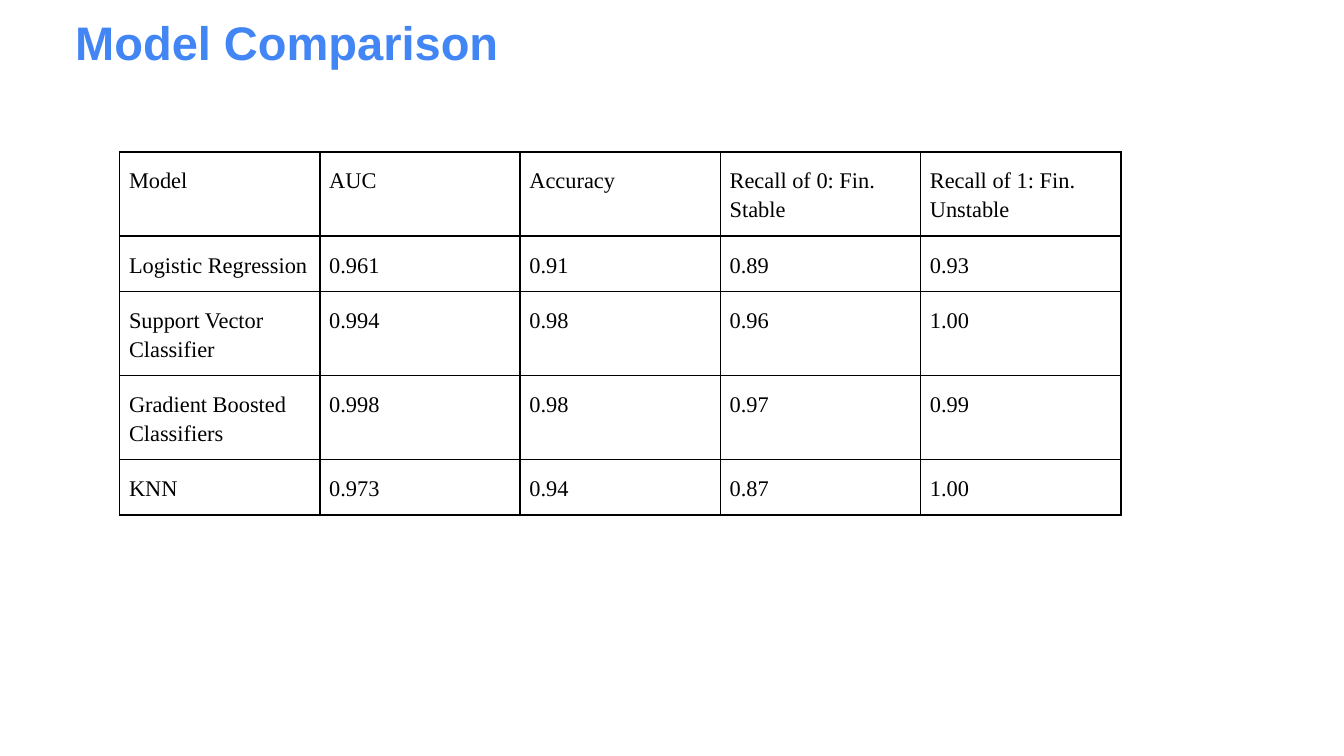
from lxml import etree
from pptx import Presentation
from pptx.dml.color import RGBColor
from pptx.enum.text import MSO_ANCHOR, PP_ALIGN
from pptx.oxml.ns import qn
from pptx.util import Inches, Pt

BOTTOM, TOP = MSO_ANCHOR.BOTTOM, MSO_ANCHOR.TOP
LEFT = PP_ALIGN.LEFT

TITLE = "Model Comparison"
RESULTS = [
    ("Model", "AUC", "Accuracy", "Recall of 0: Fin. Stable", "Recall of 1: Fin. Unstable"),
    ("Logistic Regression", "0.961", "0.91", "0.89", "0.93"),
    ("Support Vector Classifier", "0.994", "0.98", "0.96", "1.00"),
    ("Gradient Boosted Classifiers", "0.998", "0.98", "0.97", "0.99"),
    ("KNN", "0.973", "0.94", "0.87", "1.00"),
]
THEME = {
    "title": {"font": "Arial", "size": 25.2, "color": "4285F4", "bold": True},
    "cell": {"font": "Times New Roman", "size": 12, "color": "000000", "bold": False},
    "border": "000000",
    "border_pt": 1,
}
SLIDE_W = Inches(10)
SLIDE_H = SLIDE_W * 9 // 16
COL_W = 1.49
ROW_HEIGHTS = [0.62, 0.41, 0.62, 0.62, 0.41]


def style_text(p, look):
    p.alignment = LEFT
    for r in p.runs:
        r.font.name = look["font"]
        r.font.size = Pt(look["size"])
        r.font.bold = look["bold"]
        r.font.color.rgb = RGBColor.from_string(look["color"])


def add_borders(cell):
    tc_pr = cell._tc.get_or_add_tcPr()
    for i, side in enumerate(("lnL", "lnR", "lnT", "lnB")):
        ln = etree.Element(qn(f"a:{side}"), w=str(Pt(THEME["border_pt"])))
        fill = etree.SubElement(ln, qn("a:solidFill"))
        etree.SubElement(fill, qn("a:srgbClr"), val=THEME["border"])
        tc_pr.insert(i, ln)


def add_title(s):
    sp = s.shapes.title
    sp.left, sp.top = Inches(0.46), Inches(0)
    sp.width, sp.height = Inches(9.32), Inches(0.62)
    tf = sp.text_frame
    tf.text = TITLE
    tf.word_wrap = True
    tf.vertical_anchor = BOTTOM
    tf.margin_left = tf.margin_right = tf.margin_top = tf.margin_bottom = Inches(0.1)
    style_text(tf.paragraphs[0], THEME["title"])


def fill_cell(cell, text):
    cell.text = text
    cell.fill.background()
    cell.vertical_anchor = TOP
    cell.margin_left = cell.margin_right = Inches(0.07)
    cell.margin_top = cell.margin_bottom = Inches(0.1)
    p = cell.text_frame.paragraphs[0]
    p.line_spacing = 1.15
    p.space_before = Pt(12)
    style_text(p, THEME["cell"])
    add_borders(cell)


def add_results_table(s):
    n_rows, n_cols = len(RESULTS), len(RESULTS[0])
    table = s.shapes.add_table(
        n_rows, n_cols, Inches(0.89), Inches(1.13),
        Inches(COL_W * n_cols), Inches(sum(ROW_HEIGHTS)),
    ).table
    table.first_row = table.horz_banding = False
    for col in table.columns:
        col.width = Inches(COL_W)
    for row, height, values in zip(table.rows, ROW_HEIGHTS, RESULTS):
        row.height = Inches(height)
        for cell, text in zip(row.cells, values):
            fill_cell(cell, text)


def main():
    prs = Presentation()
    prs.slide_width, prs.slide_height = SLIDE_W, SLIDE_H
    s = prs.slides.add_slide(prs.slide_layouts[5])
    add_title(s)
    add_results_table(s)
    prs.save("out.pptx")


if __name__ == "__main__":
    main()
